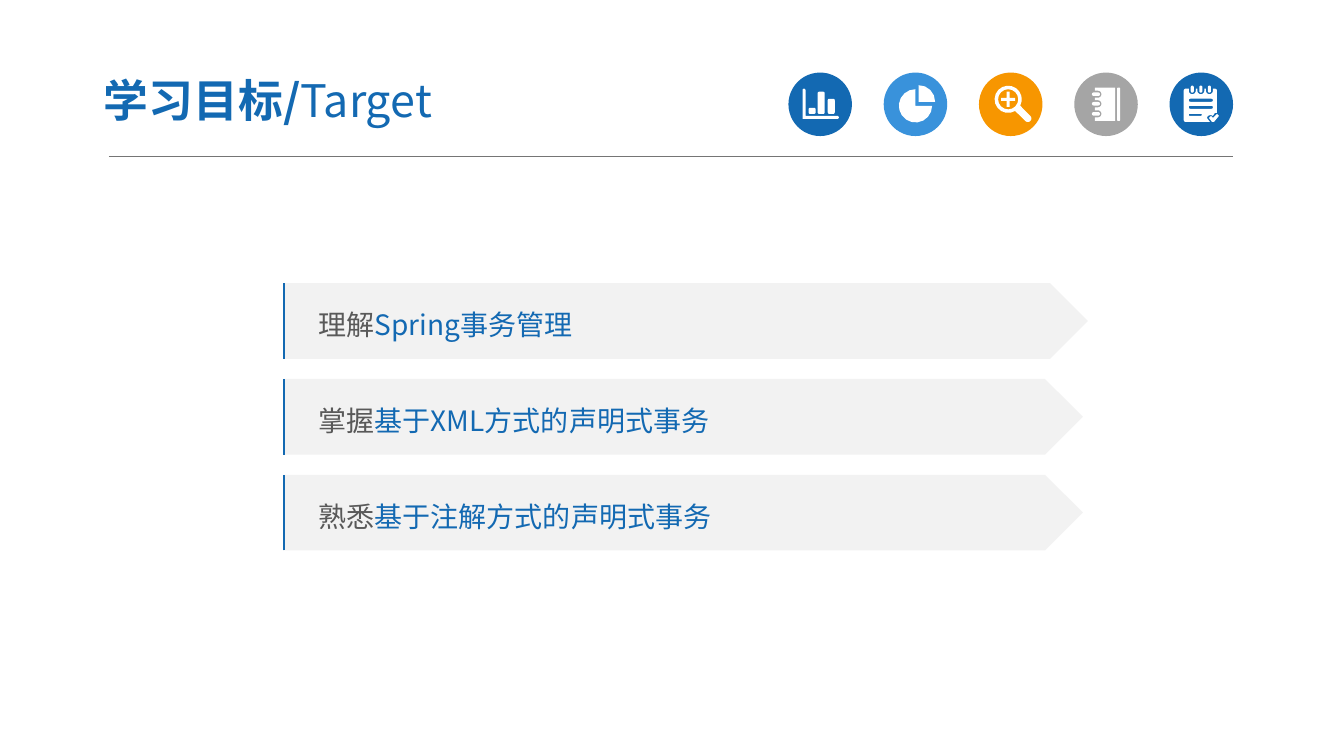
from math import cos, radians, sin
from pptx import Presentation
from pptx.dml.color import RGBColor
from pptx.enum.shapes import MSO_CONNECTOR, MSO_SHAPE as SHAPE
from pptx.enum.text import MSO_ANCHOR, MSO_AUTO_SIZE, PP_ALIGN
from pptx.oxml.ns import qn
from pptx.util import Inches, Pt
from lxml import etree

FONT = "Noto Sans CJK SC"
BLUE, SKY, ORANGE, GREY, WHITE = "1369B2", "3992DB", "F79600", "A5A5A5", "FFFFFF"
UNIT = Inches(0.01)
rgb = RGBColor.from_string


def arc(cx, cy, r, start, end):
    steps = max(4, abs(end - start) // 20)
    angles = [radians(start + (end - start) * i / steps) for i in range(steps + 1)]
    return [(cx + r * cos(a), cy + r * sin(a)) for a in angles]


def box(x, y, w, h, r):
    corners = [(x + w - r, y + r), (x + w - r, y + h - r), (x + r, y + h - r), (x + r, y + r)]
    return [pt for i, (cx, cy) in enumerate(corners)
            for pt in arc(cx, cy, r, 90 * i - 90, 90 * i)]


prs = Presentation()
prs.slide_width, prs.slide_height = Inches(13.33), Inches(7.5)
s = prs.slides.add_slide(prs.slide_layouts[5])
filled, runs = [], []

title = s.shapes.title
title.left, title.top = Inches(0.9), Inches(0.63)
title.width, title.height = Inches(5.22), Inches(0.72)
tf = title.text_frame
tf.auto_size = MSO_AUTO_SIZE.NONE
tf.vertical_anchor = MSO_ANCHOR.MIDDLE
tf.margin_left = tf.margin_right = Inches(0.13)
tf.margin_top = tf.margin_bottom = Inches(0.07)
p = tf.paragraphs[0]
p.alignment = PP_ALIGN.LEFT
runs += [(p, "学习目标/", 32, BLUE, True), (p, "Target", 32, BLUE, False)]

line = s.shapes.add_connector(MSO_CONNECTOR.STRAIGHT, Inches(1.08), Inches(1.55), Inches(12.23), Inches(1.55))
line.line.color.rgb = rgb("757575")
line.line.width = Pt(0.5)
etree.SubElement(line._element.spPr, qn("a:effectLst"))

axes = arc(797.5, 89.5, 1.5, 180, 360) + [(799, 115)] + arc(830.5, 116.5, 1.5, -90, 90) + [(796, 118)]
bar_chart = [axes] + [box(x, 113 - h, 7, h, 1.5) for x, h in [(802, 6), (811, 22), (821, 15)]]

pie_chart = [[(911, 101)] + arc(911, 101, 16.5, -90, 0),
             [(908, 105)] + arc(908, 105, 16.5, 0, 270)]

plus = [(998.5, 91), (1001.5, 91), (1001.5, 97), (1007, 97), (1007, 100), (1001.5, 100),
        (1001.5, 106), (998.5, 106), (998.5, 100), (993, 100), (993, 97), (998.5, 97)]
lens = arc(1000, 98.5, 13.5, 59, 388) + arc(1019.5, 117.5, 3.5, -45, 135)
magnifier = [lens, box(990, 88.5, 20, 20, 10), plus]

page = [(1086, 87), (1106, 87), (1106, 120), (1086, 120)]
notebook = [page, box(1108, 87, 3, 33, 1)]
for y in [113, 103, 93.5]:
    page += [(1086, y + 3.5)] + arc(1089, y, 3.5, 90, -90) + [(1086, y - 3.5)]
    notebook.append(box(1083, y - 1.75, 8, 3.5, 1.75))

sheet = arc(1176, 90, 2, 180, 270)
tick = [(1199, 117), (1201, 115), (1203, 117), (1207, 113), (1209, 115), (1204, 121), (1202, 121)]
notepad = [sheet, tick]
for x in [1182.5, 1191, 1199.5]:
    sheet += [(x - 3.5, 88)] + arc(x, 90, 3.5, 180, 0) + [(x + 3.5, 88)]
    notepad.append(box(x - 1.5, 85, 3, 7, 1.5))
sheet += arc(1205, 90, 2, -90, 0) + [(1207, 112), (1205, 112), (1203, 115), (1201, 114),
                                    (1198, 115), (1197, 117), (1200, 121)] + arc(1176, 119, 2, 90, 180)
for y, w, h in [(98, 24, 3), (105, 24, 3), (113, 13, 2)]:
    notepad.append(box(1179, y, w, h, h / 2))

icons = [(BLUE, bar_chart), (SKY, pie_chart), (ORANGE, magnifier), (GREY, notebook), (BLUE, notepad)]
for i, (color, contours) in enumerate(icons):
    sp = s.shapes.add_shape(SHAPE.OVAL, Inches(7.82 + 0.945 * i), Inches(0.72), Inches(0.63), Inches(0.63))
    filled.append((sp, color))
    fb = None
    for contour in contours:
        pts = [(round(x * UNIT), round(y * UNIT)) for x, y in contour]
        if fb:
            fb.move_to(*pts[0])
        else:
            fb = s.shapes.build_freeform(*pts[0])
        fb.add_line_segments(pts[1:])
    filled.append((fb.convert_to_shape(), WHITE))

goals = [("理解", "Spring事务管理", 7.98),
         ("掌握", "基于XML方式的声明式事务", 7.93),
         ("熟悉", "基于注解方式的声明式事务", 7.93)]
for i, (verb, topic, width) in enumerate(goals):
    y = 2.81 + 0.95 * i
    sp = s.shapes.add_shape(SHAPE.PENTAGON, Inches(2.81), Inches(y), Inches(width), Inches(0.75))
    filled.append((sp, "F2F2F2"))
    tf = sp.text_frame
    tf.vertical_anchor = MSO_ANCHOR.MIDDLE
    tf.margin_left = Inches(0.35)
    p = tf.paragraphs[0]
    p.alignment = PP_ALIGN.LEFT
    p.line_spacing = 1.2
    runs += [(p, verb, 20, "595959", False), (p, topic, 20, BLUE, False)]

    fb = s.shapes.build_freeform(Inches(2.94), Inches(y))
    fb.move_to(Inches(2.82), Inches(y + 0.75))
    fb.add_line_segments([(Inches(2.82), Inches(y))], close=False)
    edge = fb.convert_to_shape()
    edge.shadow.inherit = False
    edge.fill.background()
    edge.line.color.rgb = rgb(BLUE)
    edge.line.width = Pt(1.5)

for sp, color in filled:
    sp.shadow.inherit = False
    sp.fill.solid()
    sp.fill.fore_color.rgb = rgb(color)
    sp.line.fill.background()

for p, text, size, color, bold in runs:
    r = p.add_run()
    r.text = text
    r.font.name = FONT
    r.font.size = Pt(size)
    r.font.bold = bold
    r.font.color.rgb = rgb(color)
    etree.SubElement(r.font._element, qn("a:ea")).set("typeface", FONT)

prs.save("out.pptx")
